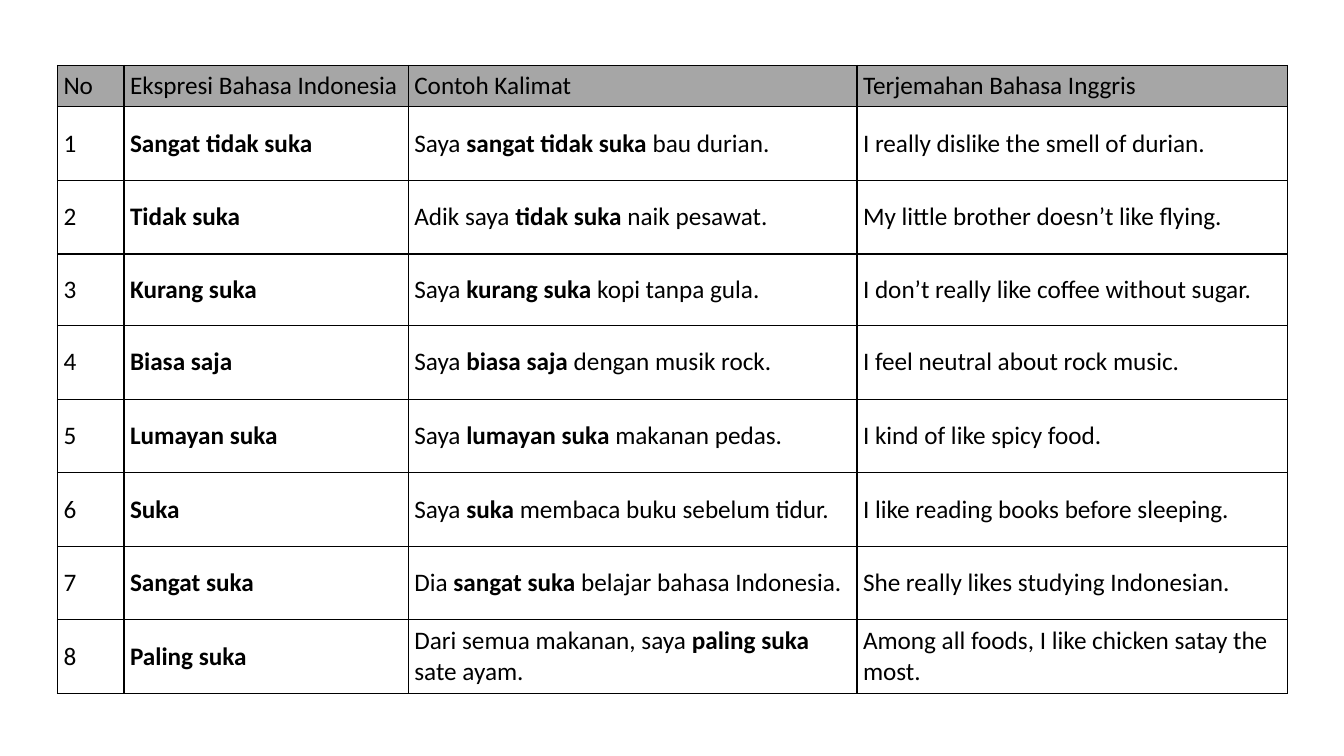
from dataclasses import dataclass

from lxml.etree import SubElement
from pptx import Presentation
from pptx.dml.color import RGBColor
from pptx.enum.text import MSO_ANCHOR
from pptx.oxml.ns import qn
from pptx.table import Table, _Cell
from pptx.util import Inches, Pt


@dataclass
class Expression:
    name: str
    before: str
    after: str
    translation: str


@dataclass
class Span:
    text: str
    bold: bool = False


HEADINGS = ["No", "Ekspresi Bahasa Indonesia", "Contoh Kalimat", "Terjemahan Bahasa Inggris"]
EXPRESSIONS = [
    Expression("Sangat tidak suka", "Saya ", " bau durian.", "I really dislike the smell of durian."),
    Expression("Tidak suka", "Adik saya ", " naik pesawat.", "My little brother doesn’t like flying."),
    Expression("Kurang suka", "Saya ", " kopi tanpa gula.", "I don’t really like coffee without sugar."),
    Expression("Biasa saja", "Saya ", " dengan musik rock.", "I feel neutral about rock music."),
    Expression("Lumayan suka", "Saya ", " makanan pedas.", "I kind of like spicy food."),
    Expression("Suka", "Saya ", " membaca buku sebelum tidur.", "I like reading books before sleeping."),
    Expression("Sangat suka", "Dia ", " belajar bahasa Indonesia.", "She really likes studying Indonesian."),
    Expression("Paling suka", "Dari semua makanan, saya ", " sate ayam.",
               "Among all foods, I like chicken satay the most."),
]
COLUMN_WIDTHS = [0.66, 2.82, 4.45, 4.27]
ROW_HEIGHTS = [0.41, 0.73, 0.73, 0.71] + [0.73] * 5
BLACK, HEADER_GRAY = "000000", "A6A6A6"
CELL_FORMAT = {
    "vertical_anchor": MSO_ANCHOR.MIDDLE,
    "margin_left": Inches(0.06),
    "margin_right": Inches(0.06),
    "margin_top": Inches(0.03),
    "margin_bottom": Inches(0.03),
}
FONT_FORMAT = {"name": "Calibri", "size": Pt(18)}
TABLE_FORMAT = {"first_row": False, "horz_banding": False}


def color(value: str) -> RGBColor:
    return RGBColor.from_string(value)


def apply_format(target: object, values: dict) -> None:
    for name, value in values.items():
        setattr(target, name, value)


def add_borders(cell: _Cell) -> None:
    properties = cell._tc.get_or_add_tcPr()
    for side in ("a:lnL", "a:lnR", "a:lnT", "a:lnB"):
        line = SubElement(properties, qn(side), w=str(Pt(1)))
        fill = SubElement(line, qn("a:solidFill"))
        SubElement(fill, qn("a:srgbClr"), val=BLACK)


def fill_cell(cell: _Cell, spans: list[Span], background: str | None) -> None:
    apply_format(cell, CELL_FORMAT)
    add_borders(cell)
    if background:
        cell.fill.solid()
        cell.fill.fore_color.rgb = color(background)
    else:
        cell.fill.background()
    para = cell.text_frame.paragraphs[0]
    for span in spans:
        run = para.add_run()
        run.text = span.text
        apply_format(run.font, {**FONT_FORMAT, "bold": span.bold})
        run.font.color.rgb = color(BLACK)


def fill_row(table: Table, row: int, contents: list[list[Span]], background: str | None = None) -> None:
    for column, spans in enumerate(contents):
        fill_cell(table.cell(row, column), spans, background)


def main() -> None:
    deck = Presentation()
    deck.slide_width, deck.slide_height = Inches(13.33), Inches(7.5)
    page = deck.slides.add_slide(deck.slide_layouts[6])

    # Table grid
    table = page.shapes.add_table(
        len(ROW_HEIGHTS), len(COLUMN_WIDTHS), Inches(0.57), Inches(0.65),
        Inches(sum(COLUMN_WIDTHS)), Inches(sum(ROW_HEIGHTS)),
    ).table
    apply_format(table, TABLE_FORMAT)
    for column, width in zip(table.columns, COLUMN_WIDTHS):
        column.width = Inches(width)
    for row, height in zip(table.rows, ROW_HEIGHTS):
        row.height = Inches(height)

    # Header row
    fill_row(table, 0, [[Span(heading)] for heading in HEADINGS], HEADER_GRAY)

    # One row per expression, bold within its example sentence
    for number, item in enumerate(EXPRESSIONS, start=1):
        sentence = [Span(item.before), Span(item.name.lower(), True), Span(item.after)]
        fill_row(table, number, [
            [Span(str(number))], [Span(item.name, True)], sentence, [Span(item.translation)],
        ])

    deck.save("out.pptx")


if __name__ == "__main__":
    main()
